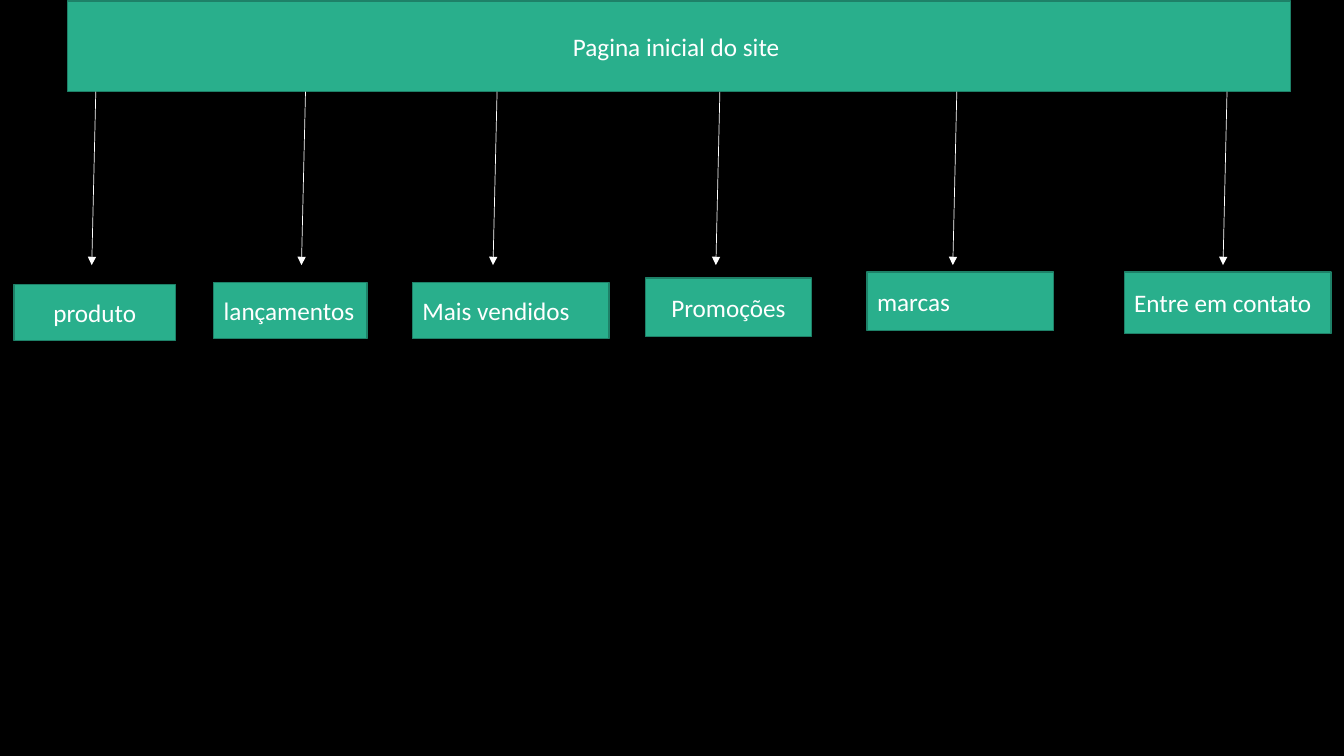
"""Build a site map slide: the home page bar with arrows to six sections."""
import pptx
import pptx.util
import pptx.dml.color
import pptx.enum.shapes
import pptx.enum.text
import pptx.oxml
import pptx.oxml.ns

Inches = pptx.util.Inches
Pt = pptx.util.Pt
ALIGN = pptx.enum.text.PP_ALIGN
LEFT, CENTER = ALIGN.LEFT, ALIGN.CENTER


def paint(form, color):
    """Give a fill, line or font format one solid hex colour."""
    if hasattr(form, "solid"):
        form.solid()
        form = form.fore_color
    else:
        form = form.color
    form.rgb = pptx.dml.color.RGBColor.from_string(color)


def style(box, text, align):
    """Format a page box and its label."""
    box.shadow.inherit = False
    paint(box.fill, "29AF8C")
    paint(box.line, "1E8168")
    box.line.width = Pt(1)
    frame = box.text_frame
    frame.text = text
    frame.word_wrap = True
    frame.vertical_anchor = pptx.enum.text.MSO_ANCHOR.MIDDLE
    line = frame.paragraphs[0]
    line.alignment = align
    font = line.runs[0].font
    font.name = "Calibri"
    font.size = Pt(18)
    paint(font, "FFFFFF")


deck = pptx.Presentation()
deck.slide_width = Inches(13.33)
deck.slide_height = Inches(7.5)
slide = deck.slides.add_slide(deck.slide_layouts[5])
paint(slide.background.fill, "000000")

home = slide.shapes.title
home.left, home.top = Inches(0.67), Inches(0.01)
home.width, home.height = Inches(12.13), Inches(0.9)
style(home, "Pagina inicial do site ", CENTER)

pages = [
    ("produto", 0.14, 2.82, 1.6, 0.56, CENTER, 0.95),
    ("lançamentos", 2.12, 2.8, 1.52, 0.56, LEFT, 3.03),
    ("Mais vendidos", 4.09, 2.8, 1.95, 0.56, LEFT, 4.93),
    ("Promoções", 6.4, 2.76, 1.65, 0.58, CENTER, 7.14),
    ("marcas", 8.6, 2.7, 1.85, 0.58, LEFT, 9.49),
    ("Entre em contato", 11.15, 2.7, 2.05, 0.61, LEFT, 12.17),
]
for text, left, top, width, height, align, start in pages:
    arrow = slide.shapes.add_connector(
        pptx.enum.shapes.MSO_CONNECTOR.STRAIGHT,
        Inches(start), Inches(0.91), Inches(start - 0.04), Inches(2.63))
    paint(arrow.line, "FFFFFF")
    arrow.line.width = Pt(0.5)
    props = arrow.line._get_or_add_ln()
    tail = pptx.oxml.parse_xml(
        f'<a:tailEnd {pptx.oxml.ns.nsdecls("a")} type="triangle"/>')
    props.append(tail)
    props.addnext(pptx.oxml.parse_xml(
        f'<a:effectLst {pptx.oxml.ns.nsdecls("a")}/>'))

    page = slide.shapes.add_shape(
        pptx.enum.shapes.MSO_SHAPE.RECTANGLE,
        Inches(left), Inches(top), Inches(width), Inches(height))
    style(page, text, align)

deck.save("out.pptx")
